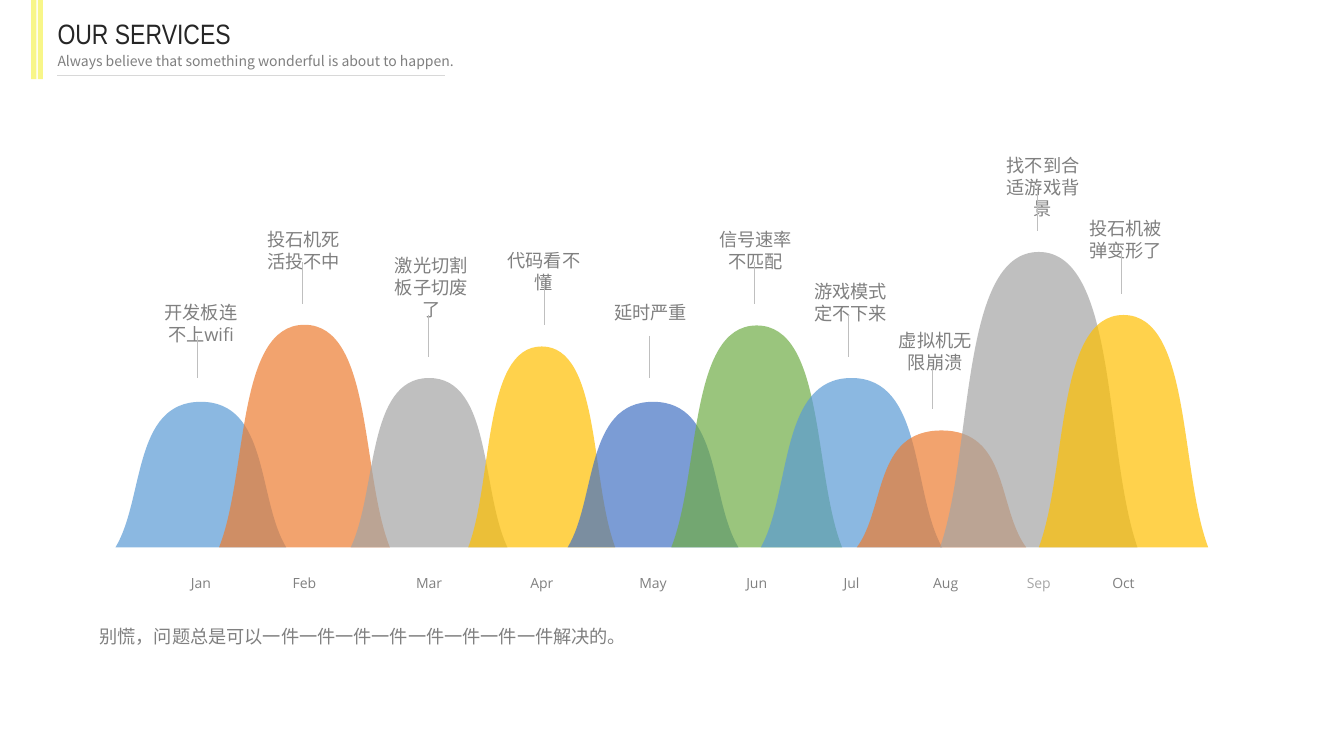
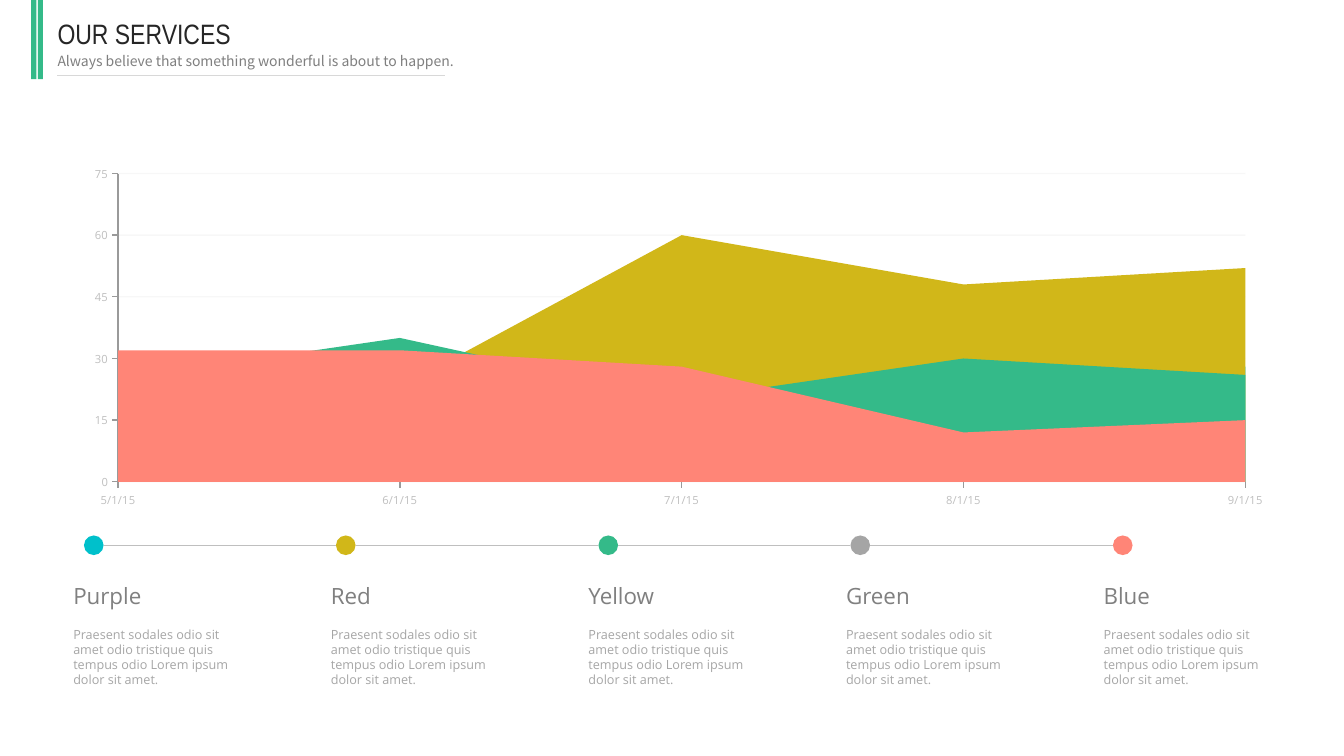
"""Build two service slides: monthly trouble curves and an area chart with a timeline."""
from dataclasses import dataclass
from itertools import pairwise

from pptx import Presentation
from pptx.chart.data import CategoryChartData
from pptx.dml.color import RGBColor
from pptx.enum.chart import XL_CHART_TYPE, XL_TICK_LABEL_POSITION, XL_TICK_MARK
from pptx.enum.shapes import MSO_CONNECTOR, MSO_SHAPE
from pptx.enum.text import MSO_AUTO_SIZE, PP_ALIGN
from pptx.oxml.ns import qn
from pptx.oxml.xmlchemy import OxmlElement
from pptx.util import Pt


@dataclass(frozen=True)
class Theme:
    title_font: str = "Arial Narrow"
    subtitle_font: str = "Noto Sans CJK SC"
    body_font: str = "Open Sans"
    chart_font: str = "Calibri"
    title_size: float = 20
    heading_size: float = 16
    label_size: float = 13
    small_size: float = 10
    body_size: float = 9
    axis_size: float = 8
    title: str = "262626"
    subtitle: str = "7F7F7F"
    text: str = "808080"
    pale: str = "A6A6A6"
    rule: str = "D8D8D8"
    stem: str = "BFBFBF"
    axis: str = "9A9A9A"
    blue: str = "5B9BD5"
    orange: str = "ED7D31"
    gray: str = "A5A5A5"
    gold: str = "FFC000"
    indigo: str = "4472C4"
    leaf: str = "70AD47"
    lemon: str = "F8F689"
    green: str = "34BA89"
    coral: str = "FF8577"
    mustard: str = "D1B719"
    cyan: str = "00C0CB"


T = Theme()


@dataclass(frozen=True)
class Month:
    name: str
    label: str
    color: str
    curve: tuple
    label_at: tuple
    stem_at: tuple
    name_color: str = T.text
    name_shift: float = 0


MONTHS = (
    Month("Jan", "开发板连不上wifi", T.blue, (82.5, 122, 104), (107, 210), (141, 240)),
    Month("Feb", "投石机死活投不中", T.orange, (156.5, 122, 159), (180.5, 158), (216, 187.5)),
    Month("Mar", "激光切割板子切废了", T.gray, (250.5, 112, 121), (271.5, 176.5), (306, 225)),
    Month("Apr", "代码看不懂", T.gold, (334.5, 105, 143.5), (352, 173), (388.5, 202.5)),
    Month("May", "延时严重", T.indigo, (405.5, 122, 104), (428, 210), (463.5, 240)),
    Month("Jun", "信号速率不匹配", T.leaf, (479.5, 122, 158.5), (503, 158), (538.5, 187.5)),
    Month("Jul", "游戏模式定不下来", T.blue, (543.5, 129.5, 121), (571, 195), (606, 225)),
    Month("Aug", "虚拟机无限崩溃", T.orange, (612, 121, 83.5), (631.5, 230), (666, 262.5),
          name_shift=3),
    Month("Sep", "找不到合适游戏背景", T.gray, (671.5, 141, 211), (708.5, 105), (741, 135),
          name_color=T.pale),
    Month("Oct", "投石机被弹变形了", T.gold, (742, 121, 166), (767.5, 150), (801, 180)),
)

CURVE = ((0.17, 0.67), (0.1, 0), (0.5, 0), (0.9, 0), (0.83, 0.67), (1, 1))

DATES = ("5/1/15", "6/1/15", "7/1/15", "8/1/15", "9/1/15")
SERIES = (
    ("Series 1", (32, 32, 28, 12, 15), T.coral),
    ("Series 2", (25, 35, 20, 30, 26), T.green),
    ("Series 3", (15, 23, 60, 48, 52), T.mustard),
    ("Series 4", (12, 12, 12, 21, 28), T.cyan),
)
DOTS = ((0, T.cyan), (180, T.mustard), (367.5, T.green), (547.5, T.gray), (735, T.coral))
HEADINGS = ("Purple", "Red", "Yellow", "Green", "Blue")
BODY = ("Praesent sodales odio sit amet odio tristique quis tempus odio "
        "Lorem ipsum dolor sit amet.")


def rgb(color):
    """Turn a hex string into a colour."""
    return RGBColor.from_string(color)


def set_alpha(parent, percent):
    """Make the first colour below an element partly transparent."""
    alpha = OxmlElement("a:alpha")
    alpha.set("val", str(percent * 1000))
    next(parent.iter(qn("a:srgbClr"))).append(alpha)


def style_font(font, name, size, color):
    """Set the face, size and colour of a font."""
    font.name, font.size = name, Pt(size)
    font.color.rgb = rgb(color)


def paint(sp, color):
    """Give a shape a flat fill with no outline or shadow."""
    sp.shadow.inherit = False
    sp.fill.solid()
    sp.fill.fore_color.rgb = rgb(color)
    sp.line.fill.background()


def add_text(shapes, box, text, size, color, font=T.body_font, inset=3.6, align=PP_ALIGN.LEFT):
    """Add a wrapped one-paragraph text box."""
    tf = shapes.add_textbox(*map(Pt, box)).text_frame
    tf.word_wrap = True
    tf.auto_size = MSO_AUTO_SIZE.SHAPE_TO_FIT_TEXT
    tf.margin_left = tf.margin_top = tf.margin_right = tf.margin_bottom = Pt(inset)
    p = tf.paragraphs[0]
    p.text = text
    p.alignment = align
    r = p.runs[0]
    style_font(r.font, font, size, color)
    ea = OxmlElement("a:ea")
    ea.set("typeface", font)
    r.font._element.find(qn("a:latin")).addnext(ea)


def add_line(shapes, start, end, color, width):
    """Add a plain straight line."""
    line = shapes.add_connector(MSO_CONNECTOR.STRAIGHT, *map(Pt, start + end))
    line.line.color.rgb = rgb(color)
    line.line.width = Pt(width)
    line.element.spPr.append(OxmlElement("a:effectLst"))


def add_header(slide, accent):
    """Add the accent bars, title, subtitle and rule."""
    bars = slide.shapes.add_group_shape().shapes
    for x in (22.25, 27):
        paint(bars.add_shape(MSO_SHAPE.RECTANGLE, Pt(x), 0, Pt(3.75), Pt(56.5)), accent)
    add_text(slide.shapes, (37.5, 8, 304.5, 31), "OUR SERVICES",
             T.title_size, T.title, T.title_font)
    add_text(slide.shapes, (37.5, 34, 304.5, 19.5),
             "Always believe that something wonderful is about to happen.",
             T.small_size, T.subtitle, T.subtitle_font)
    add_line(slide.shapes, (41, 53.75), (318, 53.75), T.rule, 0.75)


def add_curve(shapes, box, color):
    """Add a translucent bell made of two cubic curves."""
    left, top, width, height = box
    builder = shapes.build_freeform(Pt(left), Pt(top + height))
    builder.add_line_segments(
        [(Pt(left + u * width), Pt(top + v * height)) for u, v in CURVE], close=True)
    sp = builder.convert_to_shape()
    segments = list(sp.element.iter(qn("a:lnTo")))
    for i in (0, 3):
        curve = OxmlElement("a:cubicBezTo")
        segments[i].addprevious(curve)
        for segment in segments[i:i + 3]:
            curve.append(segment[0])
            segment.getparent().remove(segment)
    paint(sp, color)
    set_alpha(sp.element.spPr, 70)


def add_month(slide, month, base):
    """Add one month's curve, name, label and stem above a base line."""
    shapes = slide.shapes.add_group_shape().shapes
    left, width, height = month.curve
    add_curve(shapes, (left, base - height, width, height), month.color)
    text_width = 73
    name_left = left + (width - text_width) / 2 + month.name_shift
    add_text(shapes, (name_left, base + 14.5, text_width, 21.5), month.name,
             T.small_size, month.name_color, inset=5, align=PP_ALIGN.CENTER)
    add_text(shapes, month.label_at + (text_width, 41), month.label,
             T.label_size, T.text, inset=5, align=PP_ALIGN.CENTER)
    x, y = month.stem_at
    add_line(shapes, (x, y), (x, y + 30), T.stem, 0.5)


def build_months(slide):
    """Build the slide of monthly curves."""
    add_text(slide.shapes, (67.5, 443, 816, 23),
             "别慌，问题总是可以一件一件一件一件一件一件一件一件解决的。", T.label_size, T.text)
    for month in MONTHS:
        add_month(slide, month, 391)
    add_header(slide, T.lemon)


def set_plot_layout(chart, **fractions):
    """Fix the inner plot area as fractions of the chart."""
    area = next(chart.element.iter(qn("c:plotArea")))
    for old in area.findall(qn("c:layout")):
        area.remove(old)
    layout, manual = OxmlElement("c:layout"), OxmlElement("c:manualLayout")
    settings = {"layoutTarget": "inner", "xMode": "edge", "yMode": "edge", **fractions}
    for tag, value in settings.items():
        item = OxmlElement(f"c:{tag}")
        item.set("val", str(value))
        manual.append(item)
    layout.append(manual)
    area.insert(0, layout)


def add_area_chart(slide, box):
    """Add the overlapping area chart."""
    data = CategoryChartData()
    data.categories = DATES
    for name, values, _ in SERIES:
        data.add_series(name, values)
    chart = slide.shapes.add_chart(XL_CHART_TYPE.AREA, *map(Pt, box), data).chart
    chart.has_legend = chart.has_title = False
    style_font(chart.font, T.chart_font, T.small_size, "000000")
    for series, (_, _, color) in zip(chart.plots[0].series, SERIES):
        series.format.fill.solid()
        series.format.fill.fore_color.rgb = rgb(color)
        series.format.line.fill.background()
    for axis in (chart.category_axis, chart.value_axis):
        axis.major_tick_mark, axis.minor_tick_mark = XL_TICK_MARK.OUTSIDE, XL_TICK_MARK.NONE
        axis.format.line.color.rgb = rgb(T.axis)
        axis.format.line.width = Pt(1)
        style_font(axis.tick_labels.font, T.body_font, T.axis_size, T.stem)
    chart.category_axis.has_major_gridlines = False
    chart.category_axis.tick_label_position = XL_TICK_LABEL_POSITION.LOW
    axis = chart.value_axis
    axis.minimum_scale, axis.maximum_scale, axis.major_unit = 0, 75, 15
    axis.tick_labels.number_format = "0"
    axis.tick_labels.number_format_is_linked = False
    axis.has_major_gridlines = True
    grid = axis.major_gridlines.format.line
    grid.color.rgb = rgb(T.text)
    grid.width = Pt(1)
    set_alpha(next(chart.element.iter(qn("c:majorGridlines"))), 5)
    next(chart.element.iter(qn("c:crossBetween"))).set("val", "midCat")
    set_plot_layout(chart, x=0.026, y=0.04, w=0.96, h=0.887)


def add_timeline(slide, left, top):
    """Add the coloured dots and the lines between them."""
    shapes = slide.shapes.add_group_shape().shapes
    size = 14
    for x, color in DOTS:
        dot = shapes.add_shape(MSO_SHAPE.OVAL, Pt(left + x), Pt(top), Pt(size), Pt(size))
        paint(dot, color)
    y = top + size / 2
    for (x1, _), (x2, _) in pairwise(DOTS):
        add_line(shapes, (left + x1 + size, y), (left + x2, y), T.stem, 1)


def add_caption(slide, left, top, heading):
    """Add a heading with its body text."""
    shapes = slide.shapes.add_group_shape().shapes
    add_text(shapes, (left, top + 31.5, 127.5, 51), BODY, T.body_size, T.pale)
    add_text(shapes, (left, top, 127.5, 26), heading, T.heading_size, T.text)


def build_areas(slide):
    """Build the slide with the area chart and timeline."""
    add_area_chart(slide, (62.5, 114, 839.5, 248.5))
    for i, heading in enumerate(HEADINGS):
        add_caption(slide, 48.75 + 184 * i, 412.5, heading)
    add_timeline(slide, 60, 382.5)
    add_header(slide, T.green)


def main():
    """Build and save the presentation."""
    prs = Presentation()
    prs.slide_width, prs.slide_height = Pt(960), Pt(540)
    for build in (build_months, build_areas):
        build(prs.slides.add_slide(prs.slide_layouts[6]))
    prs.save("out.pptx")


if __name__ == "__main__":
    main()
